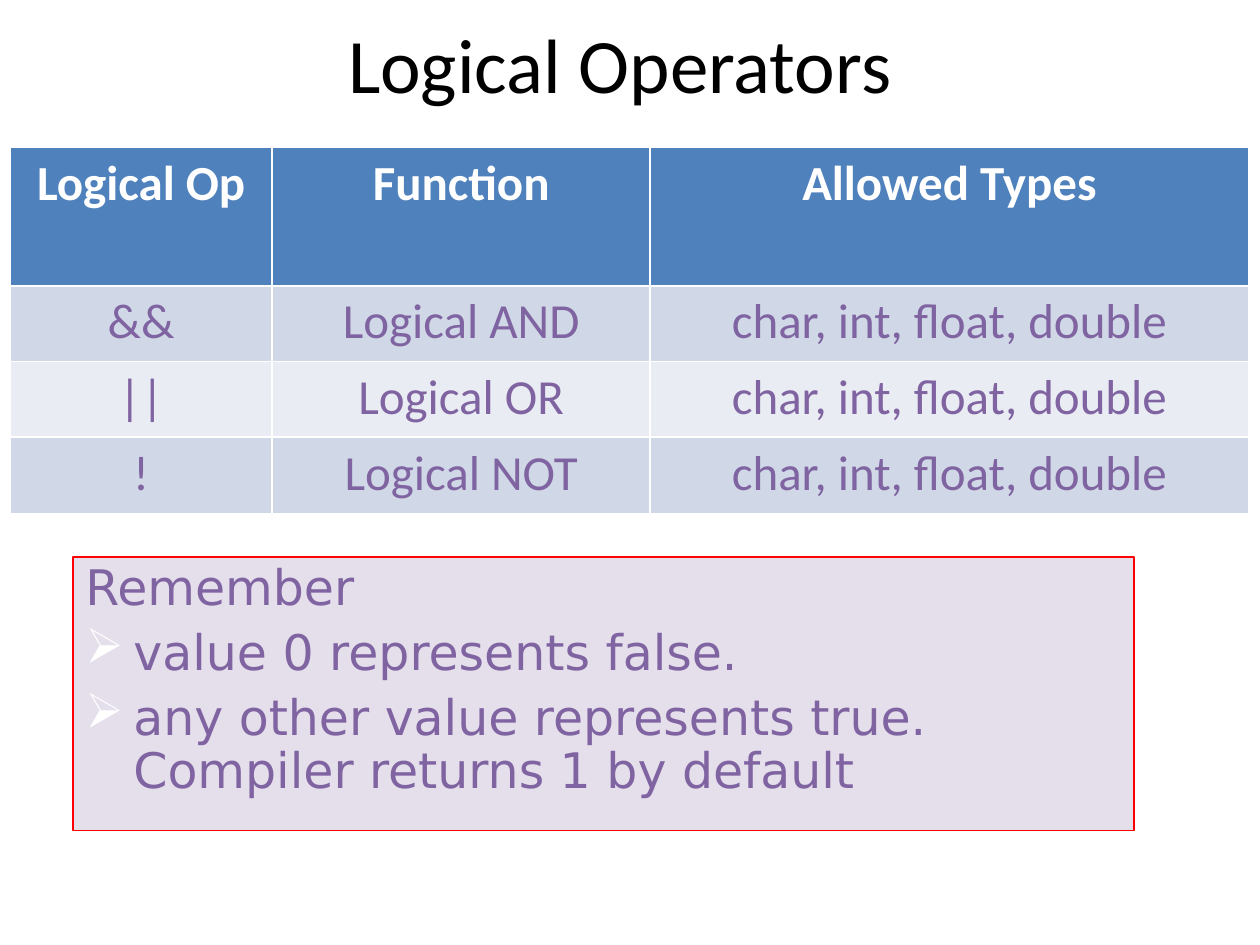
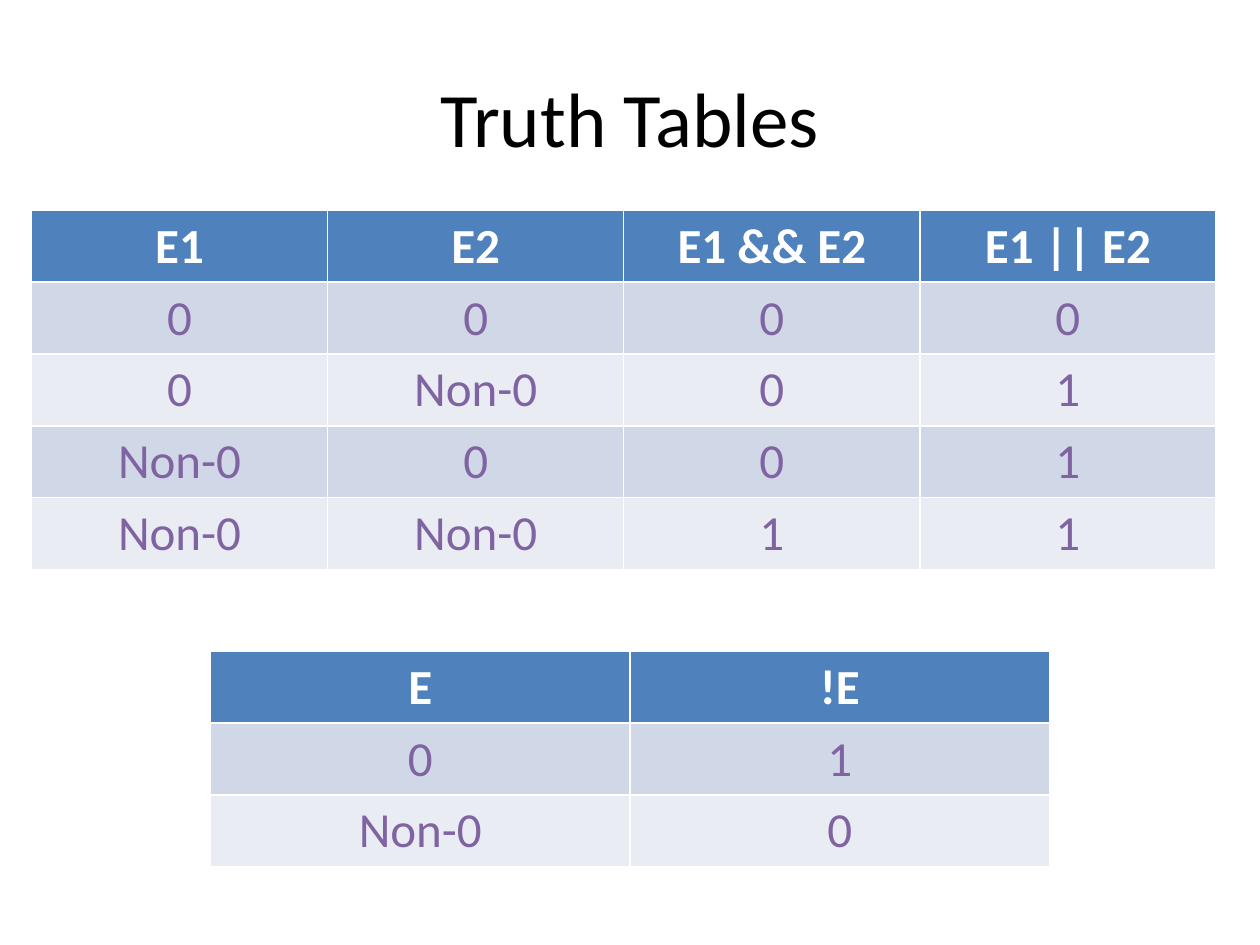
from lxml import etree
from pptx import Presentation
from pptx.dml.color import RGBColor
from pptx.enum.shapes import MSO_SHAPE
from pptx.enum.text import MSO_ANCHOR, PP_ALIGN
from pptx.oxml.ns import qn
from pptx.util import Inches, Pt

RECT = MSO_SHAPE.RECTANGLE
MIDDLE, TOP = MSO_ANCHOR.MIDDLE, MSO_ANCHOR.TOP
LEFT, CENTER = PP_ALIGN.LEFT, PP_ALIGN.CENTER

COLORS = {
    "title": "000000", "head": "4F81BD", "white": "FFFFFF",
    "odd": "D0D8E7", "even": "E9ECF3", "text": "8064A2",
    "note": "E5DFEC", "edge": "FF0000",
}
RGB = {name: RGBColor.from_string(code) for name, code in COLORS.items()}


def write(para, text, size, color, font="Calibri", bold=False, align=CENTER):
    para.alignment = align
    run = para.add_run()
    run.text = text
    run.font.size = Pt(size)
    run.font.name = font
    run.font.bold = bold
    run.font.color.rgb = RGB[color]


def draw_table(slide, left, top, widths, heights, rows):
    frame = slide.shapes.add_table(
        len(rows), len(widths), Inches(left), Inches(top),
        Inches(sum(widths)), Inches(sum(heights)))
    table = frame.table
    table.horz_banding = False
    for col, width in zip(table.columns, widths):
        col.width = Inches(width)
    for r, (row, height) in enumerate(zip(rows, heights)):
        table.rows[r].height = Inches(height)
        band = "head" if r == 0 else "odd" if r % 2 else "even"
        for c, text in enumerate(row):
            cell = table.cell(r, c)
            write(cell.text_frame.paragraphs[0], text, 28,
                  "text" if r else "white", bold=r == 0)
            # White borders come before the fill in the cell properties
            props = cell._tc.get_or_add_tcPr()
            for side in ("a:lnL", "a:lnR", "a:lnT", "a:lnB"):
                line = etree.SubElement(props, qn(side), w=str(Pt(0.96)))
                paint = etree.SubElement(line, qn("a:solidFill"))
                etree.SubElement(paint, qn("a:srgbClr"), val=COLORS["white"])
            cell.fill.solid()
            cell.fill.fore_color.rgb = RGB[band]


prs = Presentation()
prs.slide_width, prs.slide_height = Inches(10), Inches(7.5)

# Slides with their titles
titles = [
    ("Logical Operators", (0.67, 0, 8.5, 1)),
    ("Truth Tables", (0.5, 0.3, 9, 1.25)),
]
slides = []
for title, place in titles:
    slide = prs.slides.add_slide(prs.slide_layouts[6])
    frame = slide.shapes.add_textbox(*map(Inches, place)).text_frame
    frame.word_wrap = True
    frame.vertical_anchor = MIDDLE
    write(frame.paragraphs[0], title, 44, "title")
    slides.append(slide)
logic, truth = slides

# Operators and the types they allow
types = "char, int, float, double"
draw_table(logic, 0.08, 1.17, [2.08, 3, 4.75], [1.1, 0.6, 0.6, 0.61], [
    ("Logical Op", "Function", "Allowed Types"),
    ("&&", "Logical AND", types),
    ("||", "Logical OR", types),
    ("!", "Logical NOT", types),
])

# Reminder box
note = logic.shapes.add_shape(
    RECT, Inches(0.58), Inches(4.42), Inches(8.42), Inches(2.17))
note.shadow.inherit = False
note.fill.solid()
note.fill.fore_color.rgb = RGB["note"]
note.line.color.rgb = RGB["edge"]
note.line.width = Pt(0.75)
frame = note.text_frame
frame.word_wrap = True
frame.vertical_anchor = TOP
points = [
    "Remember",
    "value 0 represents false.",
    "any other value represents true. Compiler returns 1 by default",
]
for i, point in enumerate(points):
    para = frame.add_paragraph() if i else frame.paragraphs[0]
    write(para, point, 28, "text", font="DejaVu Sans", align=LEFT)
    para.line_spacing = 0.9
    if i:
        para.space_before = Pt(7)
        props = para._p.get_or_add_pPr()
        props.set("marL", str(Inches(0.38)))
        props.set("indent", str(Inches(-0.38)))
        tint = etree.SubElement(props, qn("a:buClr"))
        etree.SubElement(tint, qn("a:srgbClr"), val=COLORS["white"])
        # In Wingdings this letter is the arrowhead bullet
        etree.SubElement(props, qn("a:buFont"), typeface="Wingdings",
                         pitchFamily="2", charset="2")
        etree.SubElement(props, qn("a:buChar"), char="Ø")

# Truth tables for the binary operators and for NOT
draw_table(truth, 0.25, 1.67, [2.35] * 4, [0.57] * 5, [
    ("E1", "E2", "E1 && E2", "E1 || E2"),
    ("0", "0", "0", "0"),
    ("0", "Non-0", "0", "1"),
    ("Non-0", "0", "0", "1"),
    ("Non-0", "Non-0", "1", "1"),
])
draw_table(truth, 1.67, 5.17, [3.33] * 2, [0.57] * 3, [
    ("E", "!E"),
    ("0", "1"),
    ("Non-0", "0"),
])

prs.save("out.pptx")
